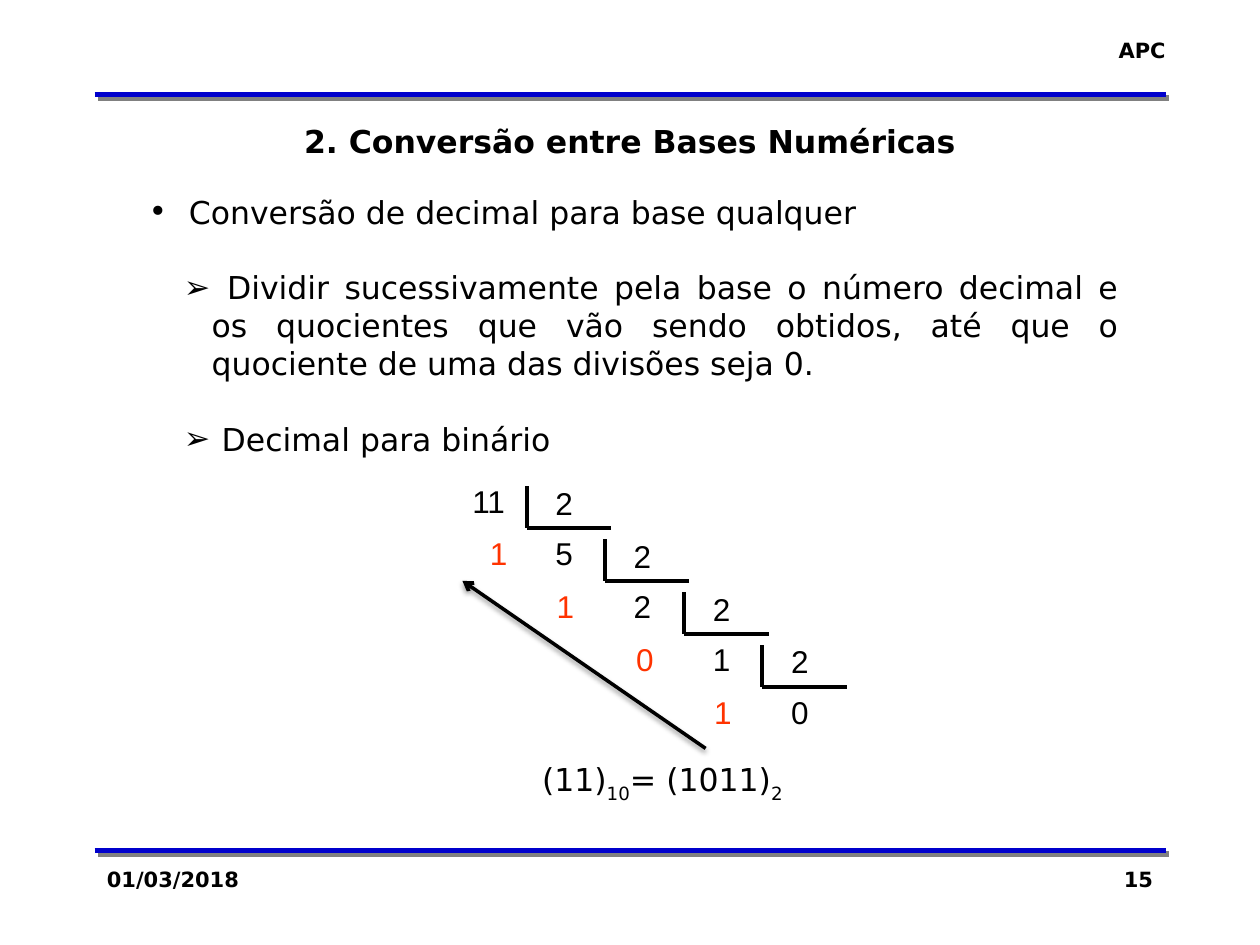
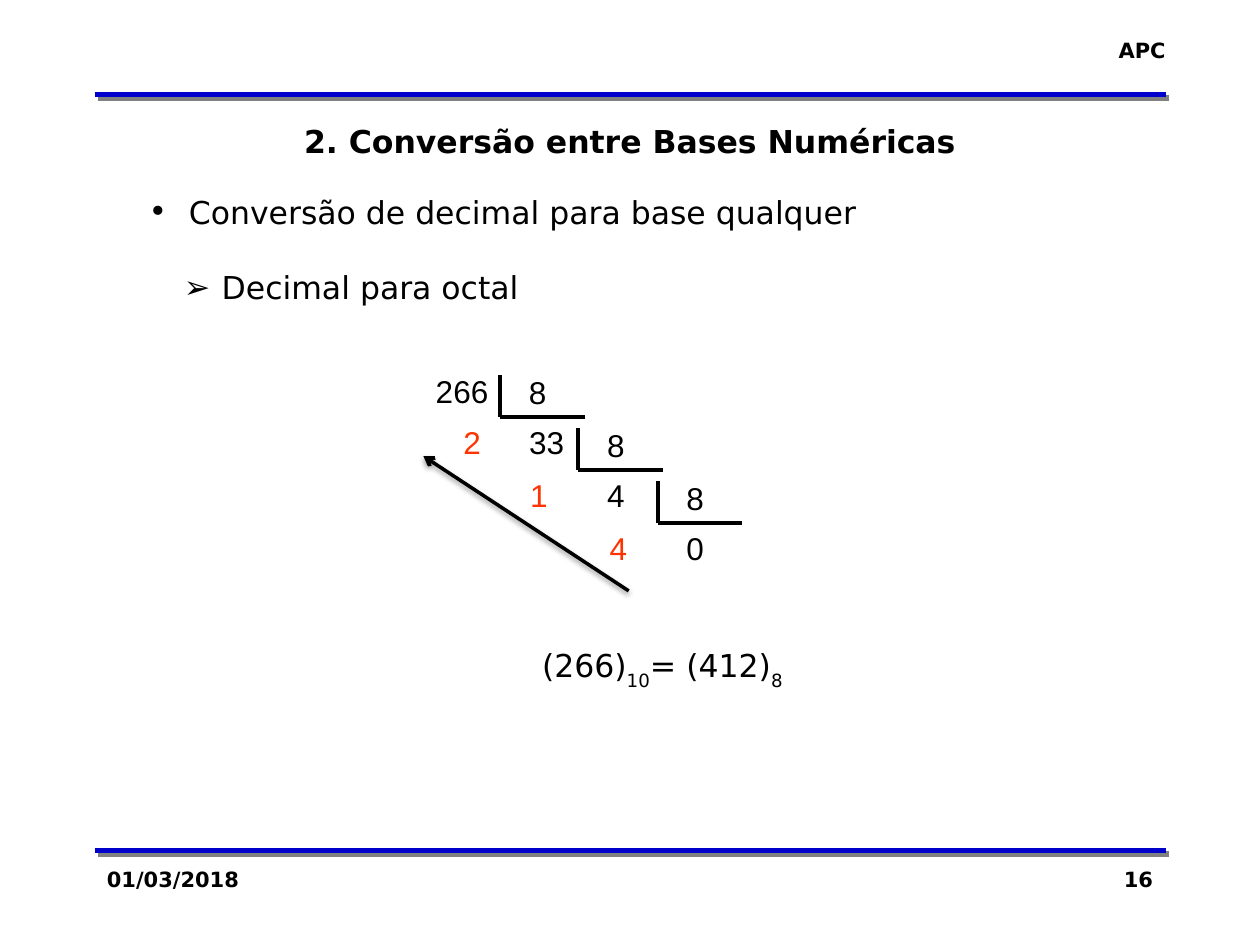
from dataclasses import dataclass

from lxml.etree import SubElement
from pptx import Presentation
from pptx.dml.color import RGBColor as RGB
from pptx.enum.shapes import MSO_CONNECTOR as CONNECTOR
from pptx.enum.text import MSO_ANCHOR as ANCHOR
from pptx.enum.text import MSO_AUTO_SIZE as FIT
from pptx.enum.text import PP_ALIGN as ALIGN
from pptx.oxml.ns import qn
from pptx.util import Pt

PX = 9144  # EMU per px, 100 px to the inch


@dataclass(frozen=True)
class Theme:
    ink: str = "000000"
    rule: str = "0000CC"
    rule_shadow: str = "808080"
    remainder: str = "FF3300"
    text_font: str = "DejaVu Sans"
    digit_font: str = "Arial"
    text_size: int = 18
    small_size: int = 12
    blank_line: float = 21.6
    rule_width: float = 3
    bracket_width: float = 2.25
    arrow_width: float = 2


THEME = Theme()
# Shadows: colour, opacity %, blur pt, distance pt, angle in degrees
RULE_SHADOW = (THEME.rule_shadow, 100, 0, 2.8, 45)
ARROW_SHADOW = (THEME.ink, 38, 3.1, 1.6, 90)
# Bullets by level: sign, margin px, hanging px
BULLETS = (("•", 24, 24), ("➢", 50, 22))


def assign(target, values):
    for name, value in values.items():
        setattr(target, name, value)


class Deck:
    """Holds the style and the slide being drawn."""

    def __init__(self, theme):
        self.theme = theme
        self.prs = Presentation()
        assign(self.prs, {"slide_width": 1000 * PX, "slide_height": 750 * PX})
        self.layout = self.prs.slide_layouts[1]
        self.slide = None

    def new_slide(self):
        self.slide = self.prs.slides.add_slide(self.layout)

    def share(self, *shapes):
        """Move shapes to the layout, so that every slide shows them."""
        for number, shape in enumerate(shapes, start=101):
            shape.element.xpath(".//p:cNvPr")[0].set("id", str(number))
            self.layout.shapes.element.append(shape.element)

    def place(self, shape, left, top, width, height):
        assign(shape, {"left": left * PX, "top": top * PX,
                       "width": width * PX, "height": height * PX})

    def run(self, paragraph, words, color=None, **font):
        run = paragraph.add_run()
        run.text = words
        assign(run.font, {"name": self.theme.text_font,
                          "size": Pt(self.theme.text_size), **font})
        run.font.color.rgb = RGB.from_string(color or self.theme.ink)
        return run

    def text(self, words, box, canvas=None, align=ALIGN.LEFT, wrap=False, color=None, **font):
        label = (canvas or self.slide.shapes).add_textbox(*(n * PX for n in box))
        label.text_frame.word_wrap = wrap
        paragraph = label.text_frame.paragraphs[0]
        paragraph.alignment = align
        self.run(paragraph, words, color, **font)
        return label

    def small(self, words, box, **options):
        return self.text(words, box, size=Pt(self.theme.small_size), bold=True, **options)

    def line(self, start, end, width, color=None, canvas=None, shadow=None, arrow=False):
        line = (canvas or self.slide.shapes).add_connector(
            CONNECTOR.STRAIGHT, *(n * PX for n in (*start, *end)))
        line.line.width = Pt(width)
        line.line.color.rgb = RGB.from_string(color or self.theme.ink)
        properties = line.element.spPr
        if arrow:
            SubElement(properties.find(qn("a:ln")), qn("a:tailEnd"), type="arrow")
        effects = SubElement(properties, qn("a:effectLst"))
        if shadow:
            tint, opacity, blur, distance, angle = shadow
            outer = SubElement(effects, qn("a:outerShdw"), blurRad=str(Pt(blur)),
                               dist=str(Pt(distance)), dir=str(angle * 60000),
                               rotWithShape="0")
            shade = SubElement(outer, qn("a:srgbClr"), val=tint)
            SubElement(shade, qn("a:alpha"), val=str(opacity * 1000))
        return line

    def title(self, words):
        heading = self.slide.shapes.title
        self.place(heading, 75, 92, 850, 40)
        assign(heading.text_frame, {"vertical_anchor": ANCHOR.TOP, "auto_size": FIT.NONE,
                                    "word_wrap": True})
        paragraph = heading.text_frame.paragraphs[0]
        paragraph.alignment = ALIGN.CENTER
        self.run(paragraph, words, bold=True)

    def indent(self, paragraph, margin, hanging, sign=None):
        properties = paragraph._p.get_or_add_pPr()
        properties.set("marL", str(margin * PX))
        properties.set("indent", str(-hanging * PX))
        if sign:
            SubElement(properties, qn("a:buFont"), typeface=self.theme.text_font)
            SubElement(properties, qn("a:buChar"), char=sign)
        else:
            SubElement(properties, qn("a:buNone"))

    def body(self, items, formula, formula_gap, height):
        """List of (level, words), then a centred formula some lines below."""
        body = self.slide.placeholders[1]
        self.place(body, 108, 148, 790, height)
        frame = body.text_frame
        assign(frame, {"auto_size": FIT.NONE, "word_wrap": True})
        for index, (level, words) in enumerate(items):
            paragraph = frame.add_paragraph() if index else frame.paragraphs[0]
            gap = self.theme.blank_line if index else 0
            assign(paragraph, {"level": level, "alignment": ALIGN.JUSTIFY,
                               "space_before": Pt(gap)})
            sign, margin, hanging = BULLETS[level]
            self.indent(paragraph, margin, hanging, sign)
            self.run(paragraph, words)

        equation = frame.add_paragraph()
        assign(equation, {"level": 1, "alignment": ALIGN.CENTER,
                          "space_before": Pt(formula_gap * self.theme.blank_line)})
        self.indent(equation, 50, 0)
        for position, words in enumerate(formula):
            part = self.run(equation, words)
            if position % 2:
                part.font._element.set("baseline", "-30000")

    def divisions(self, origin, number, base, dividend_left):
        """Staircase of successive divisions, down to a quotient of 0."""
        left, top = origin
        stairs = self.slide.shapes.add_group_shape().shapes
        width = self.theme.bracket_width

        def digits(value, x, y, color=None):
            words = str(value)
            self.text(words, (x, y, 20 + 14 * len(words), 40), stairs,
                      color=color, name=self.theme.digit_font)

        digits(number, dividend_left, top - 8)
        step = 0
        while number:
            x, y = left + step * 125 // 2, top + step * 42
            number, remainder = divmod(number, base)
            self.line((x, y), (x, y + 33), width, canvas=stairs)
            self.line((x + 67, y + 33), (x, y + 33), width, canvas=stairs)
            digits(base, x + 13, y - 7)
            digits(number, x + 13, y + 33)
            digits(remainder, x - (48 if step else 39), y + 33, self.theme.remainder)
            step += 1

    def reading_arrow(self, start, end):
        self.line(start, end, self.theme.arrow_width, shadow=ARROW_SHADOW, arrow=True)

    def footer(self, date, number):
        self.small(date, (75, 683, 208, 50), wrap=True)
        self.small(number, (717, 683, 208, 50), wrap=True, align=ALIGN.RIGHT)


TOPIC = (0, " Conversão de decimal para base qualquer")
LESSONS = (
    {
        "page": "15",
        "items": (
            TOPIC,
            (1, " Dividir sucessivamente pela base o número decimal e os quocientes "
                "que vão sendo obtidos, até que o quociente de uma das divisões seja 0."),
            (1, " Decimal para binário"),
        ),
        "formula": ("(11)", "10", "= (1011)", "2 "), "formula_gap": 8, "height": 495,
        "division": {"origin": (418, 386), "number": 11, "base": 2, "dividend_left": 365},
        "arrow": ((560, 594), (367, 461)),
    },
    {
        "page": "16",
        "items": (TOPIC, (1, " Decimal para octal")),
        "formula": ("(266)", "10", "= (412)", "8 "), "formula_gap": 9, "height": 434,
        "division": {"origin": (397, 298), "number": 266, "base": 8, "dividend_left": 336},
        "arrow": ((499, 469), (336, 362)),
    },
)


def main():
    deck = Deck(THEME)
    for index, lesson in enumerate(LESSONS):
        deck.new_slide()
        # Rules and course name, shared through the layout
        if index == 0:
            rules = [deck.line((75, y), (925, y), THEME.rule_width, THEME.rule,
                               shadow=RULE_SHADOW) for y in (675, 75)]
            course = deck.small("APC", (877, 25, 58, 30), align=ALIGN.RIGHT)
            deck.share(*rules, course)
        # Title, list and result
        deck.title("2. Conversão entre Bases Numéricas")
        deck.body(lesson["items"], lesson["formula"], lesson["formula_gap"], lesson["height"])
        deck.footer("01/03/2018", lesson["page"])
        # Worked division, read from the last remainder up
        deck.divisions(**lesson["division"])
        deck.reading_arrow(*lesson["arrow"])
    deck.prs.save("out.pptx")


if __name__ == "__main__":
    main()
